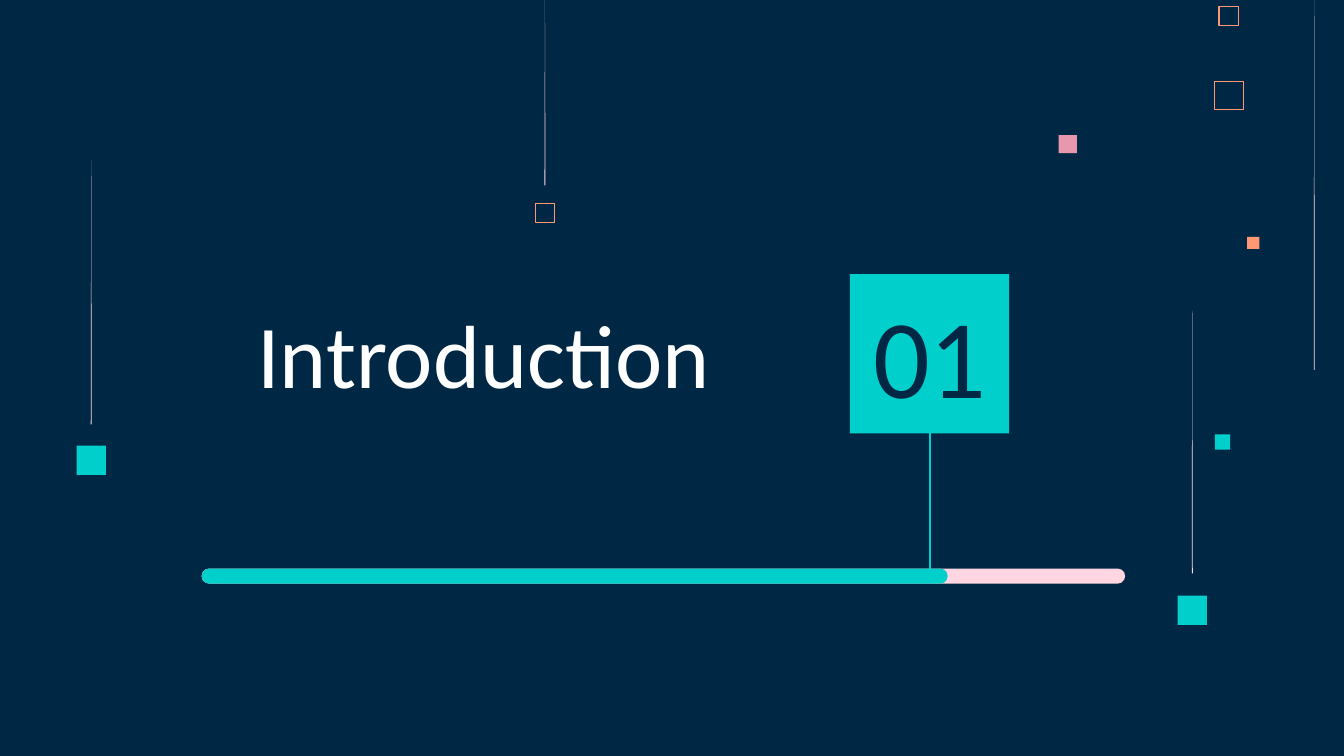
import pptx
import pptx.util
import pptx.dml.color
import pptx.enum.shapes
import pptx.enum.text
import pptx.oxml
import pptx.oxml.ns
from dataclasses import dataclass

Inches = pptx.util.Inches
Pt = pptx.util.Pt
SHAPE = pptx.enum.shapes.MSO_SHAPE
ANCHOR = pptx.enum.text.MSO_ANCHOR


@dataclass(frozen=True)
class Theme:
    navy: str = "002845"
    teal: str = "00CFCC"
    blush: str = "FFD6E1"
    rose: str = "E898AC"
    orange: str = "FF9973"
    white: str = "FFFFFF"
    font: str = "Calibri"
    title_size: int = 64
    number_size: int = 80
    outline: float = 0.75
    stem: float = 1.5


theme = Theme()

TITLE = ("Introduction", (2.38, 2.87, 4.83, 1.29))
NUMBER = ("01", (8.51, 3.09, 1.43, 0.84))
NUMBER_SQUARE = (8.43, 2.72, 1.58)
STEM_END = 5.73
BAR_LEFT, BAR_TOP, BAR_HEIGHT = 2, 5.64, 0.15
BARS = [(9.16, theme.blush), (7.4, theme.teal)]

FILLED_SQUARES = [
    (10.5, 1.34, 0.18, theme.rose),
    (12.05, 4.31, 0.15, theme.teal),
    (12.37, 2.35, 0.12, theme.orange),
    (11.68, 5.91, 0.29, theme.teal),
    (0.76, 4.42, 0.29, theme.teal),
]
OUTLINED_SQUARES = [(12.05, 0.81, 0.28), (12.09, 0.06, 0.19), (5.31, 2.02, 0.19)]
RAYS = [(5.4, 0, 1.84), (13.03, 0, 3.67), (11.82, 3.08, 5.69), (0.9, 1.59, 4.21)]
RAY_WIDTH = 0.01


def rgb(color):
    return pptx.dml.color.RGBColor.from_string(color)


def paint(sp, color):
    sp.shadow.inherit = False
    sp.fill.solid()
    sp.fill.fore_color.rgb = rgb(color)
    sp.line.fill.background()


def add_box(s, preset, box, color):
    sp = s.shapes.add_shape(preset, *map(Inches, box))
    paint(sp, color)
    return sp


def add_outline(s, left, top, side):
    sp = add_box(s, SHAPE.RECTANGLE, (left, top, side, side), theme.navy)
    sp.fill.background()
    sp.line.color.rgb = rgb(theme.orange)
    sp.line.width = Pt(theme.outline)


def add_ray(s, left, top, bottom):
    builder = s.shapes.build_freeform(Inches(left + RAY_WIDTH / 2), Inches(top))
    base = [(Inches(left), Inches(bottom)), (Inches(left + RAY_WIDTH), Inches(bottom))]
    builder.add_line_segments(base, close=True)
    paint(builder.convert_to_shape(), theme.blush)


def fill_placeholder(sp, content, size, color, anchor):
    text, box = content
    sp.left, sp.top, sp.width, sp.height = map(Inches, box)
    tf = sp.text_frame
    tf.text = text
    tf.word_wrap = True
    tf.auto_size = pptx.enum.text.MSO_AUTO_SIZE.NONE
    tf.vertical_anchor = anchor
    tf.margin_left = tf.margin_right = tf.margin_top = tf.margin_bottom = Inches(0.13)
    p = tf.paragraphs[0]
    p.alignment = pptx.enum.text.PP_ALIGN.CENTER
    p.space_before = Pt(0)
    r = p.runs[0]
    r.font.name = theme.font
    r.font.size = Pt(size)
    r.font.color.rgb = rgb(color)


def add_stem(s, square):
    x = square.left + square.width // 2
    line = s.shapes.add_connector(
        pptx.enum.shapes.MSO_CONNECTOR.STRAIGHT,
        x, square.top + square.height, x, Inches(STEM_END))
    line.begin_connect(square, 2)
    line.line.color.rgb = rgb(theme.teal)
    line.line.width = Pt(theme.stem)
    effects = pptx.oxml.parse_xml(f'<a:effectLst {pptx.oxml.ns.nsdecls("a")}/>')
    line.element.spPr.append(effects)


def main():
    prs = pptx.Presentation()
    prs.slide_width, prs.slide_height = Inches(13.33), Inches(7.5)
    s = prs.slides.add_slide(prs.slide_layouts[0])
    s.background.fill.solid()
    s.background.fill.fore_color.rgb = rgb(theme.navy)

    for left, top, side, color in FILLED_SQUARES:
        add_box(s, SHAPE.RECTANGLE, (left, top, side, side), color)
    for square in OUTLINED_SQUARES:
        add_outline(s, *square)
    for ray in RAYS:
        add_ray(s, *ray)

    left, top, side = NUMBER_SQUARE
    square = add_box(s, SHAPE.RECTANGLE, (left, top, side, side), theme.teal)
    number = s.placeholders[1]
    fill_placeholder(s.shapes.title, TITLE, theme.title_size, theme.white, ANCHOR.BOTTOM)
    fill_placeholder(number, NUMBER, theme.number_size, theme.navy, ANCHOR.MIDDLE)
    square.element.addnext(number.element)

    for width, color in BARS:
        bar = add_box(s, SHAPE.ROUNDED_RECTANGLE, (BAR_LEFT, BAR_TOP, width, BAR_HEIGHT), color)
        bar.adjustments[0] = 0.5
    add_stem(s, square)

    prs.save("out.pptx")


if __name__ == "__main__":
    main()
